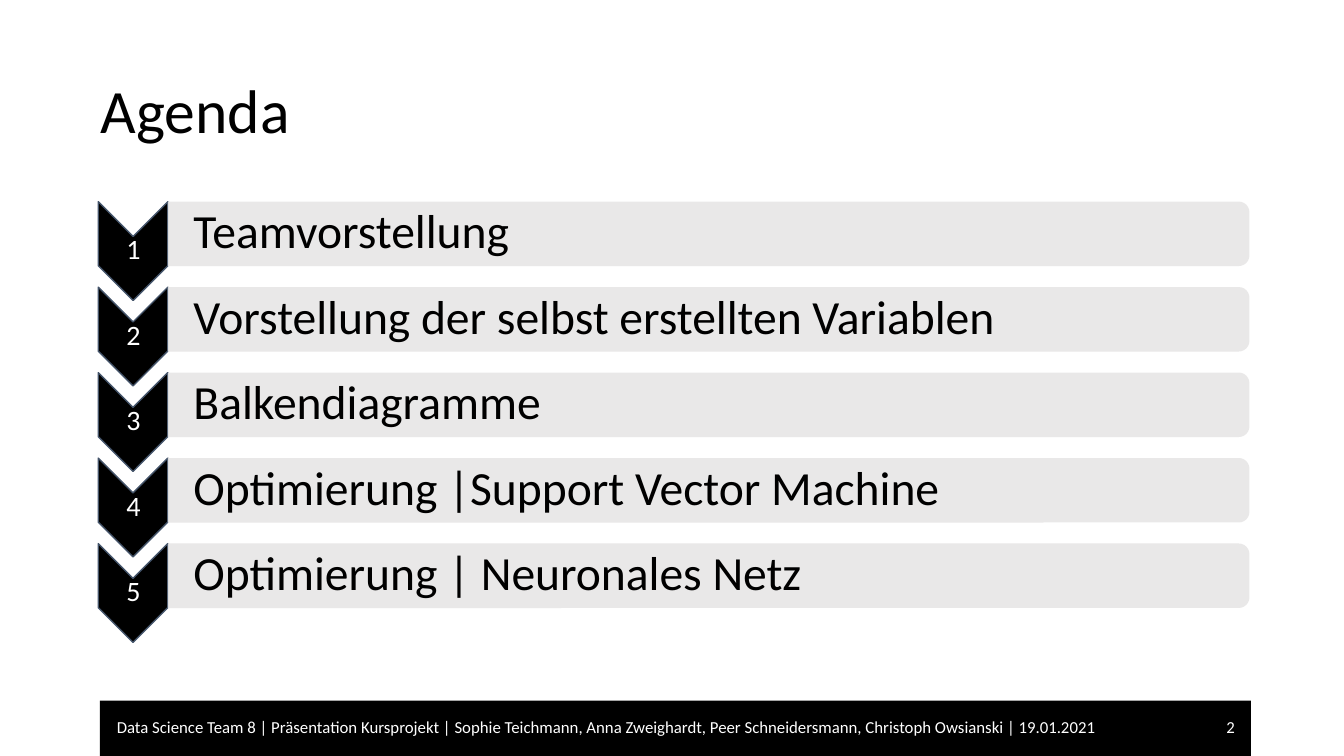
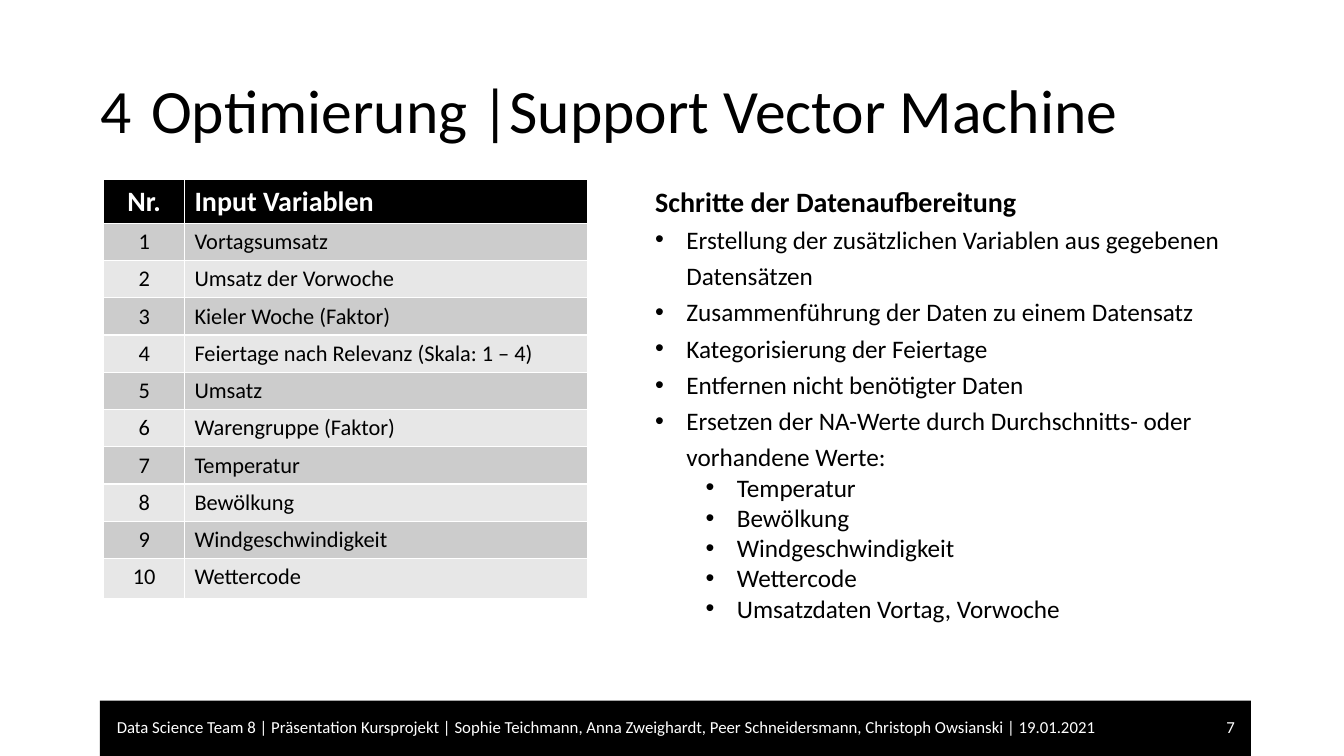
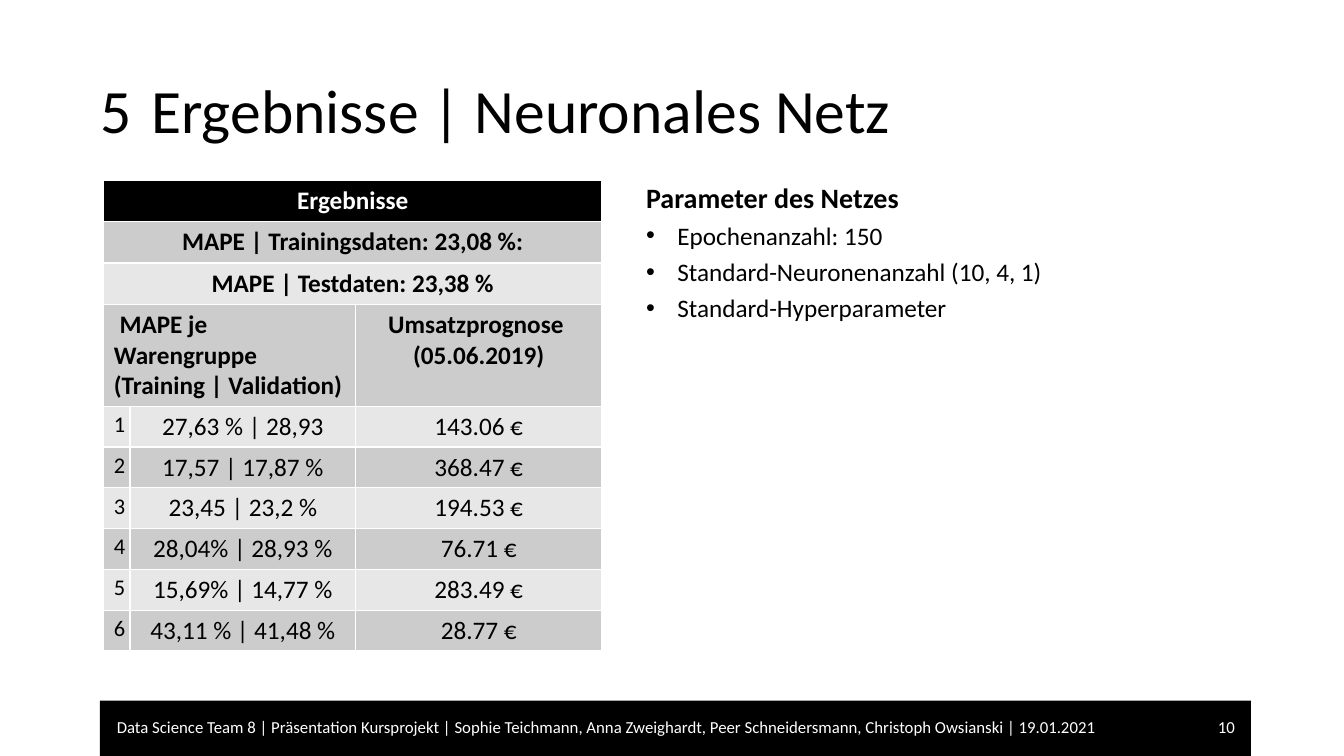
"""Build three course project slides: agenda, input variables and network results."""
from lxml import etree
from pptx import Presentation, util as u
from pptx.dml.color import RGBColor
from pptx.enum import shapes, text
from pptx.oxml.ns import qn

COLOURS = {"black": "000000", "white": "FFFFFF", "bar": "E7E6E6", "outline": "44546A",
           "band_dark": "CCCCCC", "band_light": "E7E7E7"}
COLOURS = {name: RGBColor.from_string(value) for name, value in COLOURS.items()}
ALIGN = text.PP_ALIGN
CELL = u.Inches(0.1)
FOOTER = ("Data Science Team 8 | Präsentation Kursprojekt | Sophie Teichmann, Anna Zweighardt, "
          "Peer Schneidersmann, Christoph Owsianski | 19.01.2021")


def grid(*cells):
    """Turn counts of grid cells into lengths."""
    return [u.Emu(round(count * CELL)) for count in cells]


def write(frame, words, size, colour="black", align=ALIGN.LEFT, bold=False, spacing=1.0):
    """Fill a text frame with one formatted paragraph."""
    frame.text = words
    frame.word_wrap = True
    frame.vertical_anchor = text.MSO_ANCHOR.MIDDLE
    paragraph = frame.paragraphs[0]
    paragraph.alignment = align
    paragraph.line_spacing = spacing
    paragraph.font.name = "Calibri"
    paragraph.font.size = u.Pt(size)
    paragraph.font.bold = bold
    paragraph.font.color.rgb = COLOURS[colour]


presentation = Presentation()
presentation.slide_width, presentation.slide_height = grid(133.33, 75)
title_only, title_and_body = presentation.slide_layouts[5], presentation.slide_layouts[1]

pages = [(title_only, "Agenda", 2),
         (title_and_body, "4\tOptimierung |Support Vector Machine", 7),
         (title_and_body, "5\tErgebnisse | Neuronales Netz", 10)]
slides = []
for layout, heading, number in pages:
    slide = presentation.slides.add_slide(layout)
    title = slide.shapes.title
    title.left, title.top, title.width, title.height = grid(9, 4, 115, 14.5)
    write(title.text_frame, heading, 44, spacing=0.9)
    for box, words, align in [((10.6, 70.9, 102.8, 2.4), FOOTER, ALIGN.JUSTIFY),
                              ((116.8, 70.9, 6.7, 2.4), str(number), ALIGN.RIGHT)]:
        footer = slide.shapes.add_textbox(*grid(*box))
        write(footer.text_frame, words, 12, "white", align)
    slides.append(slide)
agenda, variables, results = slides

band = agenda.shapes.add_shape(shapes.MSO_SHAPE.RECTANGLE, *grid(9.9, 69.5, 114.2, 5.5))
band.shadow.inherit = False
band.fill.solid()
band.fill.fore_color.rgb = COLOURS["black"]
band.line.fill.background()
presentation.slide_master.shapes.element.insert(2, band.element)

topics = ["Teamvorstellung", "Vorstellung der selbst erstellten Variablen", "Balkendiagramme",
          "Optimierung |Support Vector Machine", "Optimierung | Neuronales Netz"]
for index, topic in enumerate(topics):
    top = 20 + 8.48 * index
    chevron = agenda.shapes.add_shape(shapes.MSO_SHAPE.CHEVRON, *grid(8.3, top + 1.46, 9.8, 6.9))
    bar = agenda.shapes.add_shape(shapes.MSO_SHAPE.ROUND_2_SAME_RECTANGLE,
                                  *grid(67.1, top - 50.45, 6.4, 107.3))
    for shape, colour in [(chevron, "black"), (bar, "bar")]:
        shape.rotation = 90
        shape.shadow.inherit = False
        shape.fill.solid()
        shape.fill.fore_color.rgb = COLOURS[colour]
    chevron.line.color.rgb = COLOURS["outline"]
    chevron.line.width = u.Pt(1)
    bar.line.fill.background()
    etree.SubElement(bar.element.spPr.find(".//" + qn("a:srgbClr")), qn("a:alpha"), val="90000")

    number = agenda.shapes.add_textbox(*grid(9.8, top + 3.4, 6.9, 2.9))
    label = agenda.shapes.add_textbox(*grid(16.6, top + 0.3, 107, 5.7))
    for box, inset, left in [(number, 0.1, 0.1), (label, 0.2, 2.6)]:
        frame = box.text_frame
        frame.margin_left, frame.margin_top, frame.margin_right, frame.margin_bottom = grid(
            left, inset, inset, inset)
    write(number.text_frame, str(index + 1), 20, "white", ALIGN.CENTER, spacing=0.9)
    write(label.text_frame, topic, 34, spacing=0.9)

inputs = ["Vortagsumsatz", "Umsatz der Vorwoche", "Kieler Woche (Faktor)",
          "Feiertage nach Relevanz (Skala: 1 – 4)", "Umsatz", "Warengruppe (Faktor)",
          "Temperatur", "Bewölkung", "Windgeschwindigkeit", "Wettercode"]
input_rows = [["Nr.", "Input Variablen"]]
input_rows += [[str(number), name] for number, name in enumerate(inputs, 1)]
result_rows = [["Ergebnisse"], ["MAPE | Trainingsdaten: 23,08 %:"], ["MAPE | Testdaten: 23,38 %"],
               [" MAPE je Warengruppe\v(Training | Validation)", "",
                "Umsatzprognose \v(05.06.2019)"],
               ["1", "27,63 % | 28,93", "143.06 €"],
               ["2", "17,57 | 17,87 %", "368.47 €"],
               ["3", "23,45 | 23,2 %", "194.53 €"],
               ["4", "28,04% | 28,93 %", "76.71 €"],
               ["5", "15,69% | 14,77 %", "283.49 €"],
               ["6", "43,11 % | 41,48 %", "28.77 €"]]
tables = [
    (variables, input_rows, 17.8, [8, 40], [4.3] + [3.7] * 9 + [4], 1, 20, 16, 16),
    (results, result_rows, 17.9, [2.6, 22.4, 24.4], [4.1] * 3 + [10.1] + [4.05] * 6, 4, 18, 16, 18),
]
for slide, rows, top, widths, heights, headers, header_size, number_size, size in tables:
    table = slide.shapes.add_table(len(rows), len(widths),
                                   *grid(10.3, top, sum(widths), sum(heights))).table
    for column, width in zip(table.columns, grid(*widths)):
        column.width = width
    for y, (row, height) in enumerate(zip(rows, grid(*heights))):
        table.rows[y].height = height
        for x, cell in enumerate(table.rows[y].cells):
            cell.fill.solid()
            shade = "black" if y == 0 else "band_dark" if y % 2 else "band_light"
            cell.fill.fore_color.rgb = COLOURS[shade]
            if x >= len(row) or not row[x]:
                continue
            is_header = y < headers
            left_aligned = (slide is variables and x == 1) or (slide is results and (y, x) == (3, 0))
            write(cell.text_frame, row[x],
                  header_size if is_header else size if x else number_size,
                  "white" if y == 0 else "black",
                  ALIGN.LEFT if left_aligned else ALIGN.CENTER, is_header)
            cell.vertical_anchor = text.MSO_ANCHOR.TOP
    if slide is results:
        for y in range(3):
            table.cell(y, 0).merge(table.cell(y, 2))
        table.cell(3, 0).merge(table.cell(3, 1))

steps = ["Erstellung der zusätzlichen Variablen aus gegebenen Datensätzen",
         "Zusammenführung der Daten zu einem Datensatz", "Kategorisierung der Feiertage",
         "Entfernen nicht benötigter Daten",
         "Ersetzen der NA-Werte durch Durchschnitts- oder vorhandene Werte:"]
replaced = ["Temperatur", "Bewölkung", "Windgeschwindigkeit", "Wettercode",
            "Umsatzdaten Vortag, Vorwoche"]
parameters = ["Epochenanzahl: 150", "Standard-Neuronenanzahl (10, 4, 1)",
              "Standard-Hyperparameter"]
lists = [(variables, (64, 17.8, 60.3, 54.1), "Schritte der Datenaufbereitung", steps, replaced),
         (results, (63.1, 17.4, 60.3, 15), "Parameter des Netzes", parameters, [])]
for slide, box, heading, points, subpoints in lists:
    body = slide.placeholders[1]
    body.left, body.top, body.width, body.height = grid(*box)
    frame = body.text_frame
    frame.text = "\n".join([heading] + points + subpoints)
    frame.auto_size = text.MSO_AUTO_SIZE.NONE
    frame.vertical_anchor = text.MSO_ANCHOR.TOP
    for index, paragraph in enumerate(frame.paragraphs):
        is_heading, is_subpoint = index == 0, index > len(points)
        paragraph.level = int(is_subpoint)
        paragraph.space_before = u.Pt(0)
        paragraph.line_spacing = 1.0 if is_heading or is_subpoint else 1.2
        paragraph.font.name = "Calibri"
        paragraph.font.size = u.Pt(20 if is_heading else 18)
        paragraph.font.bold = is_heading
        paragraph.font.color.rgb = COLOURS["black"]
        margin, indent = grid(*((0, 0) if is_heading else (8.1 if is_subpoint else 3.1, -3.1)))
        properties = paragraph._p.get_or_add_pPr()
        properties.set("marL", str(margin))
        properties.set("indent", str(indent))
        if is_heading:
            etree.SubElement(properties, qn("a:buNone"))
        else:
            etree.SubElement(properties, qn("a:buFont"), typeface="Arial")
            etree.SubElement(properties, qn("a:buChar"), char="•")
        defaults = properties.find(qn("a:defRPr"))
        if defaults is not None:
            properties.append(defaults)

presentation.save("out.pptx")
